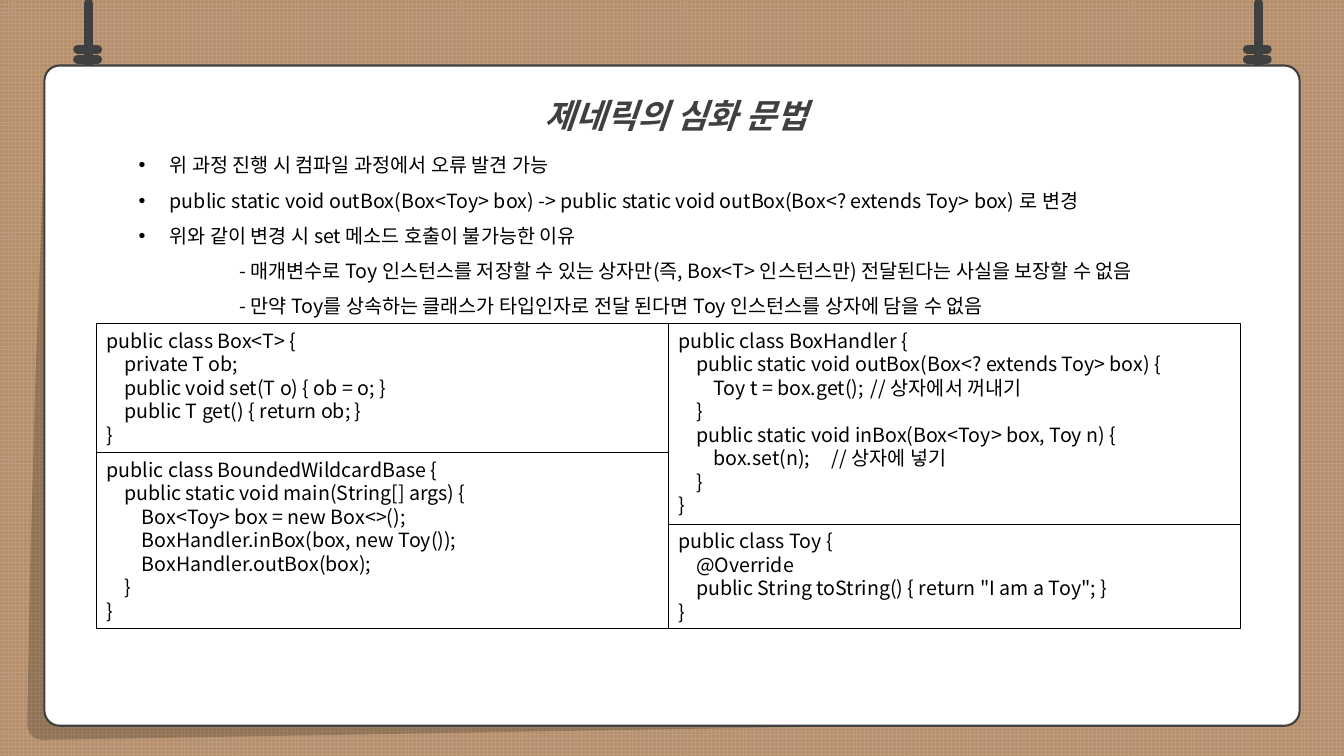
from pptx import Presentation
from pptx.dml.color import RGBColor
from pptx.enum.dml import MSO_PATTERN
from pptx.enum.shapes import MSO_CONNECTOR, MSO_SHAPE
from pptx.enum.text import MSO_ANCHOR, MSO_AUTO_SIZE, PP_ALIGN
from pptx.oxml.ns import qn
from pptx.util import Inches, Pt
from lxml import etree

GRID = MSO_PATTERN.LARGE_GRID
STRAIGHT = MSO_CONNECTOR.STRAIGHT
RECT, ROUND_RECT = MSO_SHAPE.RECTANGLE, MSO_SHAPE.ROUNDED_RECTANGLE
TOP, NO_FIT = MSO_ANCHOR.TOP, MSO_AUTO_SIZE.NONE
LEFT, CENTER = PP_ALIGN.LEFT, PP_ALIGN.CENTER

FONT = "Noto Sans CJK KR"
COLORS = {"weave": "BE9B7C", "board": "B58F6B", "dark": "404040",
          "black": "000000", "white": "FFFFFF"}
COLORS = {name: RGBColor.from_string(value) for name, value in COLORS.items()}


def write(para, text, size=14, color="black", spacing=None, margin=0, hanging=0):
    """Fill a paragraph with one run and set its indents."""
    para.alignment = LEFT
    if spacing:
        para.line_spacing = spacing
    props = para._p.get_or_add_pPr()
    props.set("marL", str(Inches(margin)))
    props.set("indent", str(-Inches(hanging)))
    span = para.add_run()
    span.text = text
    span.font.name = FONT
    span.font.size = Pt(size)
    span.font.color.rgb = COLORS[color]
    etree.SubElement(span.font._element, qn("a:ea"), typeface=FONT)
    return span


def add_box(kind, left, top, width, height, line, weight):
    """Add an outlined shape whose text starts at the top."""
    box = page.shapes.add_shape(kind, Inches(left), Inches(top),
                                Inches(width), Inches(height))
    box.shadow.inherit = False
    box.fill.background()
    box.line.color.rgb = COLORS[line]
    box.line.width = Pt(weight)
    box.text_frame.word_wrap = True
    box.text_frame.vertical_anchor = TOP
    return box


deck = Presentation()
deck.slide_width, deck.slide_height = Inches(13.33), Inches(7.5)
page = deck.slides.add_slide(deck.slide_layouts[5])

# Woven background
backdrop = page.background.fill
backdrop.patterned()
backdrop.pattern = GRID
backdrop.fore_color.rgb = COLORS["weave"]
backdrop.back_color.rgb = COLORS["board"]

# Slanted shadow under the card
outline = [(0.45, 1.1), (0.41, 2.22), (0.35, 3.8), (0.3, 5.6), (0.27, 7.19),
           (0.29, 7.27), (0.34, 7.32), (0.42, 7.34), (12.75, 7.13)]
builder = page.shapes.build_freeform(Inches(2.32), Inches(4.59), scale=1.0)
builder.add_line_segments([(Inches(x), Inches(y)) for x, y in outline], close=True)
card_shadow = builder.convert_to_shape()
card_shadow.shadow.inherit = False
card_shadow.fill.solid()
card_shadow.fill.fore_color.rgb = COLORS["black"]
card_shadow.line.fill.background()
tint = card_shadow._element.spPr.find(qn("a:solidFill"))[0]
etree.SubElement(tint, qn("a:alpha"), val="20000")

# Two hanging cords, each with two knots
for x in (0.88, 12.48):
    for x1, y1, x2, y2 in ((x, 0.82, x, 0.03),
                           (x + 0.09, 0.59, x - 0.11, 0.59),
                           (x + 0.09, 0.49, x - 0.11, 0.49)):
        cord = page.shapes.add_connector(STRAIGHT, Inches(x1), Inches(y1),
                                         Inches(x2), Inches(y2))
        cord.line.color.rgb = COLORS["dark"]
        cord.line.width = Pt(6.25)
        cord.line._ln.set("cap", "rnd")
        etree.SubElement(cord._element.spPr, qn("a:effectLst"))

# White card with the explanation
card = add_box(ROUND_RECT, 0.44, 0.65, 12.45, 6.55, "dark", 1.5)
card.adjustments[0] = 0.023
card.fill.solid()
card.fill.fore_color.rgb = COLORS["white"]
frame = card.text_frame
frame.margin_left, frame.margin_top = Inches(0.39), Inches(0.71)
frame.margin_right = frame.margin_bottom = 0
points = [
    (True, "위 과정 진행 시 컴파일 과정에서 오류 발견 가능"),
    (True, "public static void outBox(Box<Toy> box) -> "
           "public static void outBox(Box<? extends Toy> box) 로 변경"),
    (True, "위와 같이 변경 시 set 메소드 호출이 불가능한 이유"),
    (False, "- 매개변수로 Toy 인스턴스를 저장할 수 있는 상자만(즉, Box<T> 인스턴스만) "
            "전달된다는 사실을 보장할 수 없음"),
    (False, "- 만약 Toy를 상속하는 클래스가 타입인자로 전달 된다면 "
            "Toy 인스턴스를 상자에 담을 수 없음"),
]
for number, (bulleted, text) in enumerate(points):
    para = frame.add_paragraph() if number else frame.paragraphs[0]
    if bulleted:
        write(para, text, spacing=1.5, margin=0.81, hanging=0.31)
        props = para._p.get_or_add_pPr()
        etree.SubElement(props, qn("a:buFont"), typeface="Arial")
        etree.SubElement(props, qn("a:buChar"), char="•")
    else:
        write(para, text, spacing=1.5, margin=1.5)

# Title, in front of the card
title = page.shapes.title
title.left, title.top = Inches(3.37), Inches(0.69)
title.width, title.height = Inches(6.67), Inches(0.71)
title.text_frame.auto_size = NO_FIT
title.text_frame.vertical_anchor = TOP
para = title.text_frame.paragraphs[0]
span = write(para, "제네릭의 심화 문법", 24, "dark", spacing=1.5)
span.font.bold = span.font.italic = True
para.alignment = CENTER
page.shapes._spTree.append(title._element)

# Code panels: left, top, height, lines as (indent level, text)
panels = [
    (0.96, 3.21, 1.28, [
        (0, "public class Box<T> {"),
        (1, "private T ob;"),
        (1, "public void set(T o) { ob = o; }"),
        (1, "public T get() { return ob; }"),
        (0, "}")]),
    (0.96, 4.49, 1.75, [
        (0, "public class BoundedWildcardBase {"),
        (1, "public static void main(String[] args) {"),
        (2, "Box<Toy> box = new Box<>();"),
        (2, "BoxHandler.inBox(box, new Toy());"),
        (2, "BoxHandler.outBox(box);"),
        (1, "}"),
        (0, "}")]),
    (6.63, 3.21, 1.99, [
        (0, "public class BoxHandler {"),
        (1, "public static void outBox(Box<? extends Toy> box) {"),
        (2, "Toy t = box.get();\t// 상자에서 꺼내기"),
        (1, "}"),
        (1, "public static void inBox(Box<Toy> box, Toy n) {"),
        (2, "box.set(n);\t// 상자에 넣기"),
        (1, "}"),
        (0, "}")]),
    (6.63, 5.2, 1.04, [
        (0, "public class Toy {"),
        (1, "@Override"),
        (1, 'public String toString() { return "I am a Toy"; }'),
        (0, "}")]),
]
for left, top, height, lines in panels:
    frame = add_box(RECT, left, top, 5.67, height, "black", 0.75).text_frame
    for number, (level, text) in enumerate(lines):
        para = frame.add_paragraph() if number else frame.paragraphs[0]
        write(para, text, margin=level * 0.175)
        para._p.get_or_add_pPr().set("defTabSz", str(Inches(0.39)))

deck.save("out.pptx")
